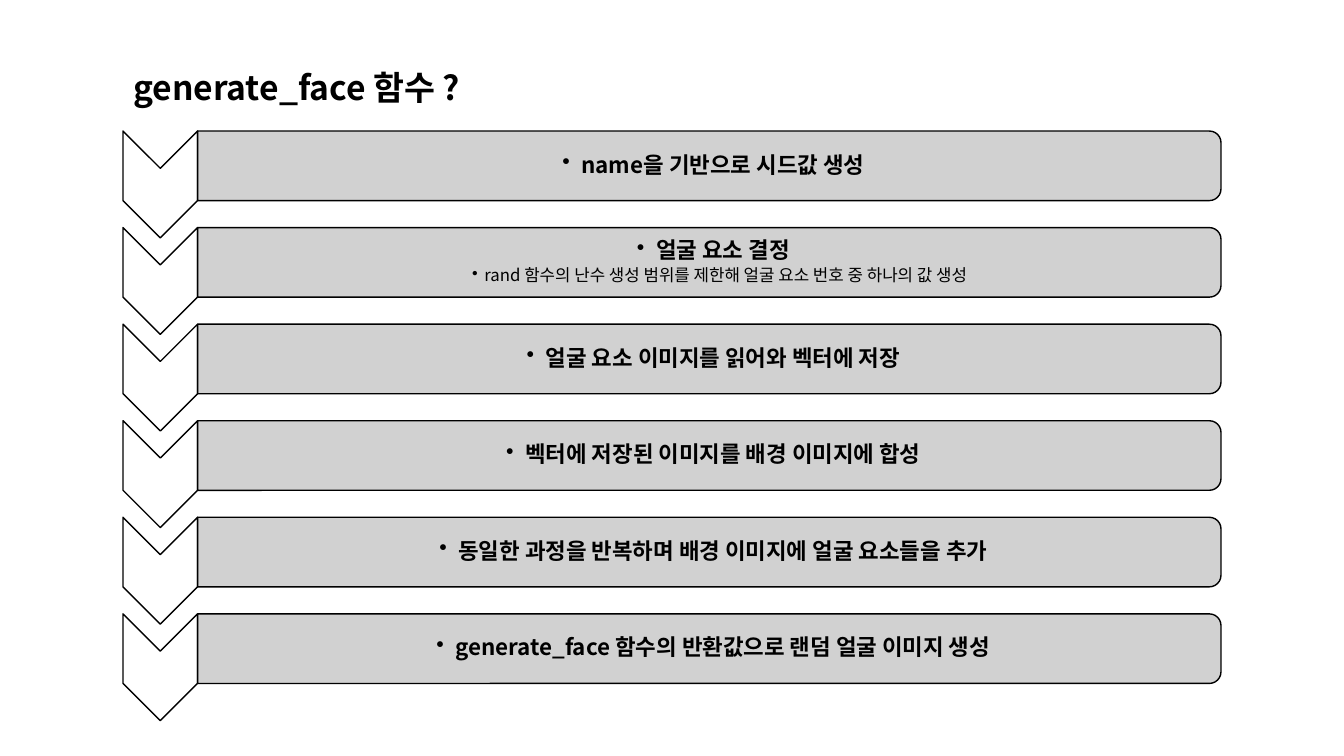
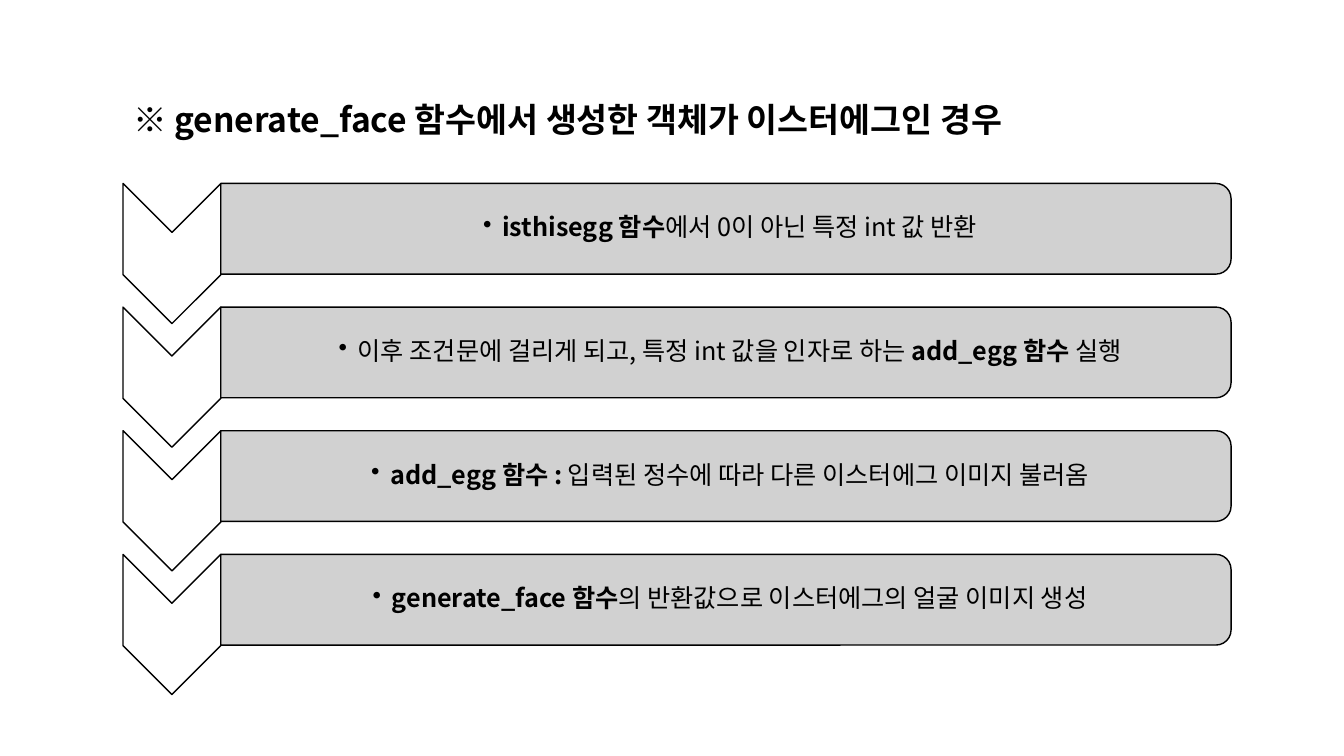
from dataclasses import dataclass

from lxml.etree import SubElement
from pptx import Presentation
from pptx.dml.color import RGBColor
from pptx.enum.shapes import MSO_SHAPE as Shape
from pptx.enum.text import MSO_ANCHOR as Anchor, MSO_AUTO_SIZE as AutoSize, PP_ALIGN as Align
from pptx.oxml.ns import qn
from pptx.util import Inches, Pt


@dataclass(frozen=True)
class Theme:
    font: str = "Noto Sans CJK KR"
    ink: RGBColor = RGBColor(0x00, 0x00, 0x00)
    chevron_fill: RGBColor = RGBColor(0xFF, 0xFF, 0xFF)
    bar_fill: RGBColor = RGBColor(0xCC, 0xCC, 0xCC)
    bar_opacity: int = 90
    outline: float = 1
    title_size: int = 24
    detail_size: int = 12
    line_spacing: float = 0.9
    left: float = 1.22


THEME = Theme()

# Each step is a list of paragraphs; each paragraph is a list of (text, bold) runs.
SLIDES = [
    {
        "title": "generate_face 함수 ?",
        "title_box": (0.61, 5.64, 0.51),
        "first_top": 1.3, "last_top": 6.09,
        "chevron": (0.74, 1.06), "bar": (10.15, 0.69),
        "text_width": 10.12, "text_inset": 0.12, "text_size": 16,
        "steps": [
            [[("name을 기반으로 시드값 생성", True)]],
            [[("얼굴 요소 결정", True)],
             [("rand 함수의 난수 생성 범위를 제한해 얼굴 요소 번호 중 하나의 값 생성", False)]],
            [[("얼굴 요소 이미지를 읽어와 벡터에 저장", True)]],
            [[("벡터에 저장된 이미지를 배경 이미지에 합성", True)]],
            [[("동일한 과정을 반복하며 배경 이미지에 얼굴 요소들을 추가", True)]],
            [[("generate_face 함수의 반환값으로 랜덤 얼굴 이미지 생성", True)]],
        ],
    },
    {
        "title": "※ generate_face 함수에서 생성한 객체가 이스터에그인 경우",
        "title_box": (0.99, 11.24, 0.45),
        "first_top": 1.82, "last_top": 5.5,
        "chevron": (0.97, 1.39), "bar": (10.02, 0.9),
        "text_width": 9.97, "text_inset": 0.14, "text_size": 18,
        "steps": [
            [[("isthisegg 함수", True), ("에서 0이 아닌 특정 int 값 반환", False)]],
            [[("이후 조건문에 걸리게 되고, 특정 int 값을 인자로 하는 ", False),
              ("add_egg 함수", True), (" 실행", False)]],
            [[("add_egg 함수 :", True),
              (" 입력된 정수에 따라 다른 이스터에그 이미지 불러옴", False)]],
            [[("generate_face 함수", True),
              ("의 반환값으로 이스터에그의 얼굴 이미지 생성", False)]],
        ],
    },
]


def add_span(para, text, size, bold):
    span = para.add_run()
    span.text = text
    span.font.size = Pt(size)
    span.font.bold = bold
    span.font.name = THEME.font
    span.font.color.rgb = THEME.ink
    SubElement(span.font._element, qn("a:ea"), typeface=THEME.font)


def add_turned_shape(page, kind, left, top, width, height, fill):
    """Add a shape turned by 90 degrees that covers the given area once turned."""
    shape = page.shapes.add_shape(
        kind,
        Inches(left + (width - height) / 2), Inches(top + (height - width) / 2),
        Inches(height), Inches(width))
    shape.rotation = 90
    shape.shadow.inherit = False
    shape.fill.solid()
    shape.fill.fore_color.rgb = fill
    shape.line.color.rgb = THEME.ink
    shape.line.width = Pt(THEME.outline)
    return shape


deck = Presentation()
deck.slide_width = Inches(13.33)
deck.slide_height = Inches(7.5)

for content in SLIDES:
    page = deck.slides.add_slide(deck.slide_layouts[5])

    title = page.shapes.title
    top, width, height = content["title_box"]
    title.left, title.top = Inches(THEME.left), Inches(top)
    title.width, title.height = Inches(width), Inches(height)
    frame = title.text_frame
    frame.auto_size = AutoSize.NONE
    frame.word_wrap = True
    frame.vertical_anchor = Anchor.BOTTOM
    para = frame.paragraphs[0]
    para.alignment = Align.LEFT
    para.line_spacing = THEME.line_spacing
    add_span(para, content["title"], THEME.title_size, True)

    steps = content["steps"]
    pitch = (content["last_top"] - content["first_top"]) / (len(steps) - 1)
    chevron_width, chevron_height = content["chevron"]
    bar_width, bar_height = content["bar"]
    bar_left = THEME.left + chevron_width

    for row, paragraphs in enumerate(steps):
        top = content["first_top"] + row * pitch
        add_turned_shape(page, Shape.CHEVRON, THEME.left, top,
                         chevron_width, chevron_height, THEME.chevron_fill)
        bar = add_turned_shape(page, Shape.ROUND_2_SAME_RECTANGLE, bar_left, top,
                               bar_width, bar_height, THEME.bar_fill)
        bar_color = bar._element.spPr.find(qn("a:solidFill"))[0]
        SubElement(bar_color, qn("a:alpha"), val=str(THEME.bar_opacity * 1000))

        box = page.shapes.add_textbox(
            Inches(bar_left), Inches(top + bar_height * 0.05),
            Inches(content["text_width"]), Inches(bar_height * 0.9))
        frame = box.text_frame
        frame.word_wrap = True
        frame.vertical_anchor = Anchor.MIDDLE
        frame.margin_left = Inches(content["text_inset"])
        frame.margin_top = frame.margin_right = frame.margin_bottom = Inches(0.01)

        for level, runs in enumerate(paragraphs, start=1):
            para = frame.paragraphs[0] if level == 1 else frame.add_paragraph()
            size = content["text_size"] if level == 1 else THEME.detail_size
            margin, indent = (0.19, -0.19) if level == 1 else (0.25, -0.12)
            para.level = level
            para.alignment = Align.CENTER
            para.line_spacing = THEME.line_spacing
            para.space_after = Pt(size * 0.15)
            properties = para._p.get_or_add_pPr()
            properties.set("marL", str(Inches(margin)))
            properties.set("indent", str(Inches(indent)))
            SubElement(properties, qn("a:buChar"), char="•")
            for text, bold in runs:
                add_span(para, text, size, bold)

deck.save("out.pptx")
